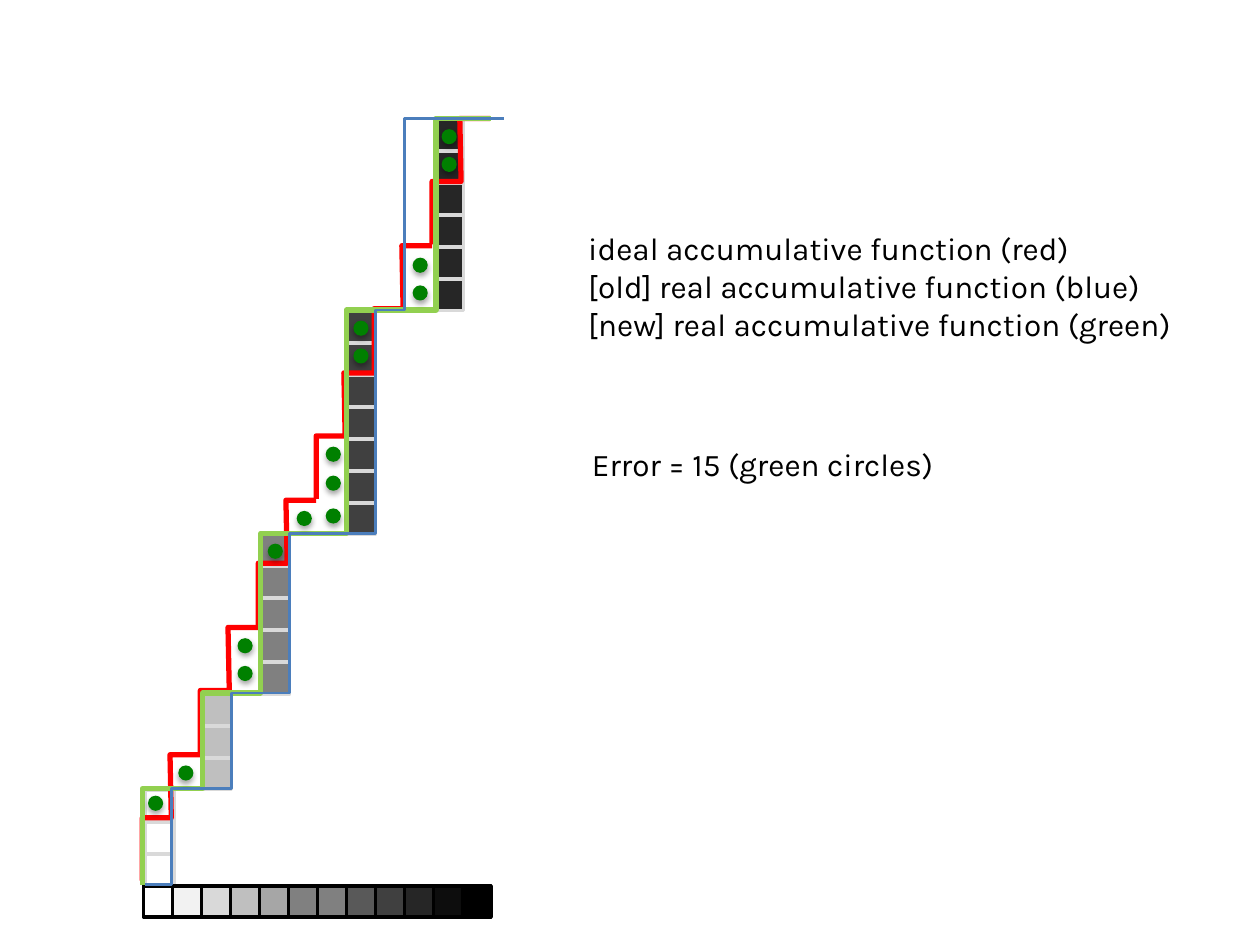
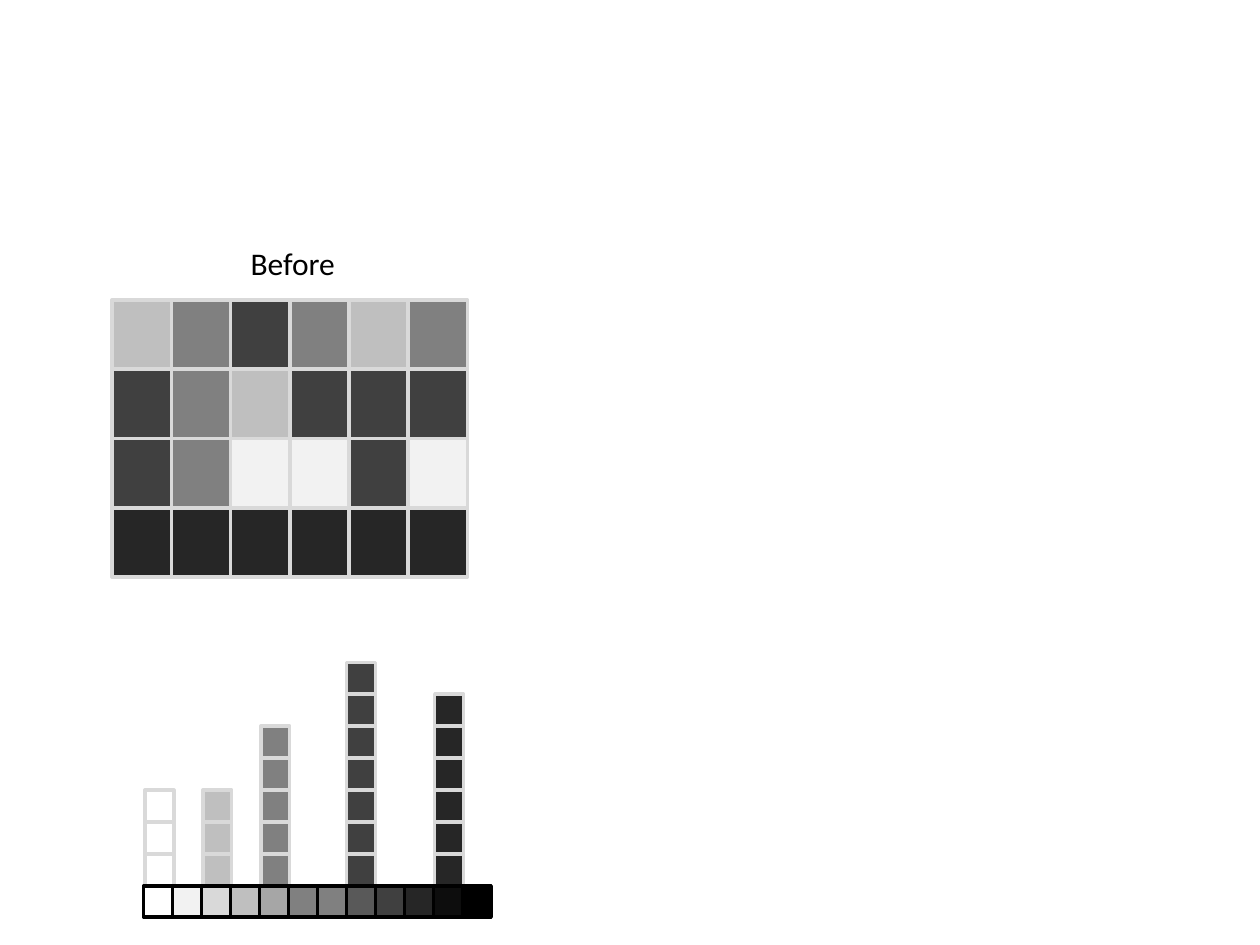
from itertools import accumulate

from pptx import Presentation
from pptx.dml.color import RGBColor
from pptx.enum.shapes import MSO_SHAPE
from pptx.enum.text import MSO_AUTO_SIZE
from pptx.util import Inches, Pt

# Theme: colours, fonts, type sizes and line widths
THEME = {
    "ideal": "FF0000", "new": "92D050", "old": "4B7EBC", "error": "008000",
    "cell_line": "D9D9D9", "scale_line": "000000", "text": "000000",
    "text_size": 18, "note_font": "Karla", "caption_font": "Calibri",
    "cell_width": 2, "curve_width": 3, "old_width": 1.5, "dot_width": 0.75,
}

# Content: each grey level is the hex pair used for all three channels
SCALE = ["FF", "F2", "D9", "BF", "A6", "80", "80", "59", "40", "26", "0D", "00"]
BARS = [  # left, number of cells, grey
    (1.15, 3, "FF"), (1.61, 3, "BF"), (2.07, 5, "80"), (2.75, 7, "40"), (3.45, 6, "26"),
]
IMAGE_ROWS = [
    ["BF", "80", "40", "80", "BF", "80"],
    ["40", "80", "BF", "40", "40", "40"],
    ["40", "80", "F2", "F2", "40", "F2"],
    ["26"] * 6,
]
LEGEND = [
    "ideal accumulative function (red)",
    "[old] real accumulative function (blue)",
    "[new] real accumulative function (green)",
]
ERROR_NOTE = ["Error = 15 (green circles)"]
CAPTION = ["Before"]
ERROR_DOTS = [  # left, tops
    (1.18, [6.32]), (1.42, [6.08]), (1.89, [5.29, 5.07]), (2.13, [4.32]),
    (2.36, [4.06]), (2.59, [4.04, 3.78, 3.55]), (2.81, [2.77, 2.55]),
    (3.28, [2.27, 2.05]), (3.51, [1.25, 1.03]),
]
NEW_RISERS, NEW_END = [1.13, 1.61, 2.07, 2.75, 3.46], 3.9
OLD_START, OLD_RISERS, OLD_END = 1.15, [1.36, 1.84, 2.3, 2.98, 3.21], 4.0
IDEAL_STEP = [(0, 0), (0, -0.5), (0.23, -0.5), (0.22, -1), (0.46, -1)]

# Grid
BASE, TOP = 7.03, 0.95
CELL_WIDTH, CELL_HEIGHT = 0.23, 0.25
TOTALS = list(accumulate(count for _, count, _ in BARS))
PITCH = (BASE - TOP) / TOTALS[-1]
SCALE_LEFT = 1.14
IMAGE_LEFT, IMAGE_TOP, IMAGE_COLUMN, IMAGE_ROW = 0.89, 2.38, 0.47, 0.55
IDEAL_LEFT, IDEAL_BASE, IDEAL_RUN, IDEAL_RISE = 1.13, 6.99, 0.46, 1.01
DOT = 0.11


def set_line(shape, colour, width):
    shape.line.color.rgb = RGBColor.from_string(colour)
    shape.line.width = Pt(width)


def add_filled(shapes, kind, box, fill, line, width, shadow=False):
    shape = shapes.add_shape(kind, *map(Inches, box))
    shape.fill.solid()
    shape.fill.fore_color.rgb = RGBColor.from_string(fill)
    set_line(shape, line, width)
    if not shadow:
        shape.shadow.inherit = False


def add_cell(shapes, box, grey, line=THEME["cell_line"]):
    add_filled(shapes, MSO_SHAPE.RECTANGLE, box, grey * 3, line, THEME["cell_width"])


def add_curve(shapes, points, colour, width):
    points = [(Inches(x), Inches(y)) for x, y in points]
    builder = shapes.build_freeform(*points[0])
    builder.add_line_segments(points[1:], close=False)
    curve = builder.convert_to_shape()
    curve.fill.background()
    curve.shadow.inherit = False
    set_line(curve, colour, width)


def add_text(slide, box, lines, font_name, wrap=True):
    frame = slide.shapes.add_textbox(*map(Inches, box)).text_frame
    frame.word_wrap = wrap
    frame.auto_size = MSO_AUTO_SIZE.SHAPE_TO_FIT_TEXT
    frame.text = "\n".join(lines)
    font_format = {"name": font_name, "size": Pt(THEME["text_size"])}
    for paragraph in frame.paragraphs:
        font = paragraph.runs[0].font
        for attribute, value in font_format.items():
            setattr(font, attribute, value)
        font.color.rgb = RGBColor.from_string(THEME["text"])


def add_histogram(slide, stacked):
    """Draw the bars, each on the one before when stacked, above the grey scale."""
    for (left, count, grey), total in zip(BARS, TOTALS):
        bar = slide.shapes.add_group_shape()
        top = BASE - PITCH * (total if stacked else count)
        for row in range(count):
            add_cell(bar.shapes, (left, top + row * PITCH, CELL_WIDTH, CELL_HEIGHT), grey)
    for column, grey in enumerate(SCALE):
        box = (SCALE_LEFT + column * CELL_WIDTH, BASE, CELL_WIDTH, CELL_HEIGHT)
        add_cell(slide.shapes, box, grey, THEME["scale_line"])


def staircase(risers, end):
    """Points that climb at each riser to the next accumulated level."""
    levels = [BASE - 0.01 - PITCH * total for total in [0] + TOTALS]
    points = []
    for riser, low, high in zip(risers, levels, levels[1:]):
        points += [(riser, low), (riser, high)]
    return points + [(end, levels[-1])]


def build_accumulation(slide):
    add_histogram(slide, stacked=True)

    # Ideal function: six equal double steps
    ideal = slide.shapes.add_group_shape()
    for index in range(len(SCALE) // 2):
        left, base = IDEAL_LEFT + index * IDEAL_RUN, IDEAL_BASE - index * IDEAL_RISE
        points = [(left + x, base + y) for x, y in IDEAL_STEP]
        add_curve(ideal.shapes, points, THEME["ideal"], THEME["curve_width"])

    # Real functions, new and old
    add_curve(slide.shapes, staircase(NEW_RISERS, NEW_END), THEME["new"], THEME["curve_width"])
    old_points = [(OLD_START, BASE - 0.01)] + staircase(OLD_RISERS, OLD_END)
    add_curve(slide.shapes, old_points, THEME["old"], THEME["old_width"])

    # Legend, error circles and their count
    add_text(slide, (4.57, 1.77, 5.11, 1.01), LEGEND, THEME["note_font"])
    for left, tops in ERROR_DOTS:
        for top in tops:
            add_filled(slide.shapes, MSO_SHAPE.OVAL, (left, top, DOT, DOT),
                       THEME["error"], THEME["error"], THEME["dot_width"], shadow=True)
    add_text(slide, (4.6, 3.48, 3.54, 0.4), ERROR_NOTE, THEME["note_font"])


def build_before(slide):
    add_histogram(slide, stacked=False)

    # Image cells with their caption
    for row, greys in enumerate(IMAGE_ROWS):
        for column, grey in enumerate(greys):
            box = (IMAGE_LEFT + column * IMAGE_COLUMN, IMAGE_TOP + row * IMAGE_ROW,
                   IMAGE_COLUMN, IMAGE_ROW)
            add_cell(slide.shapes, box, grey)
    add_text(slide, (1.89, 1.89, 0.89, 0.4), CAPTION, THEME["caption_font"], wrap=False)


def main():
    presentation = Presentation()
    presentation.slide_width, presentation.slide_height = Inches(10), Inches(7.5)
    blank = presentation.slide_layouts[6]
    for build in (build_accumulation, build_before):
        build(presentation.slides.add_slide(blank))
    presentation.save("out.pptx")


if __name__ == "__main__":
    main()
